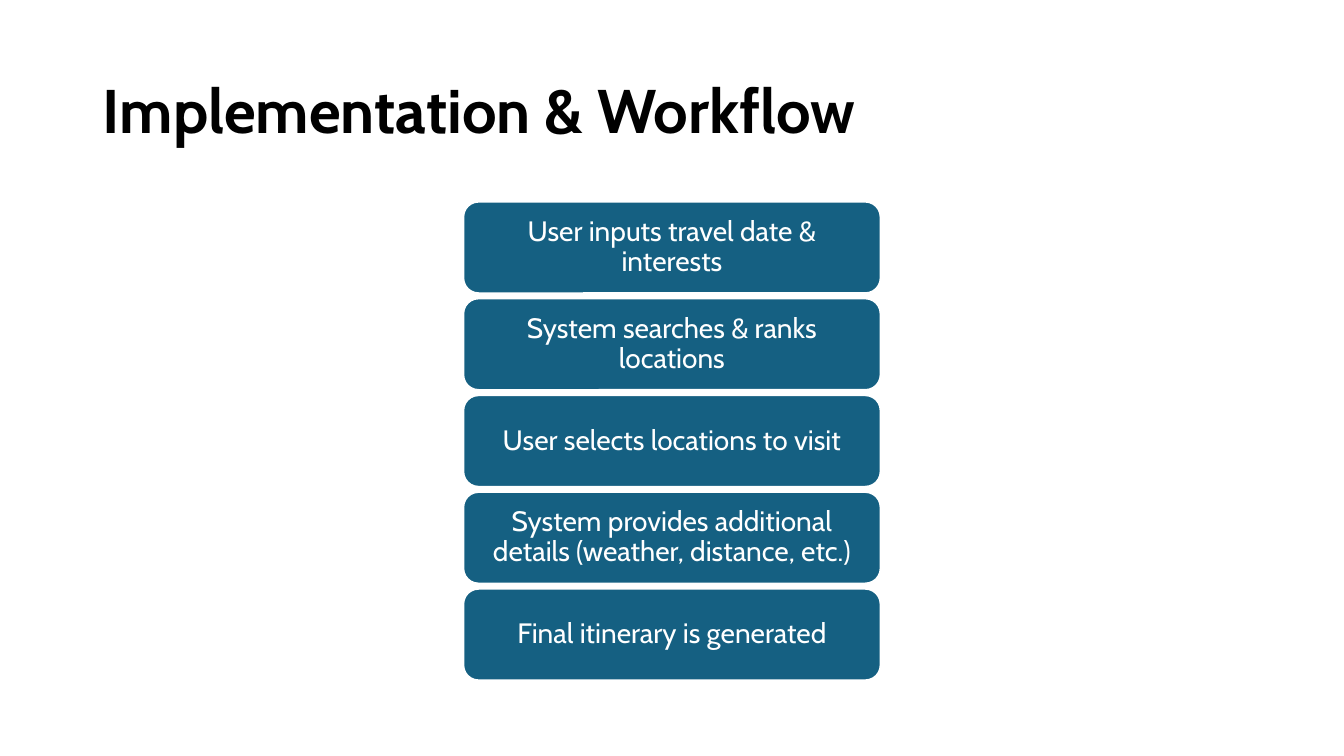
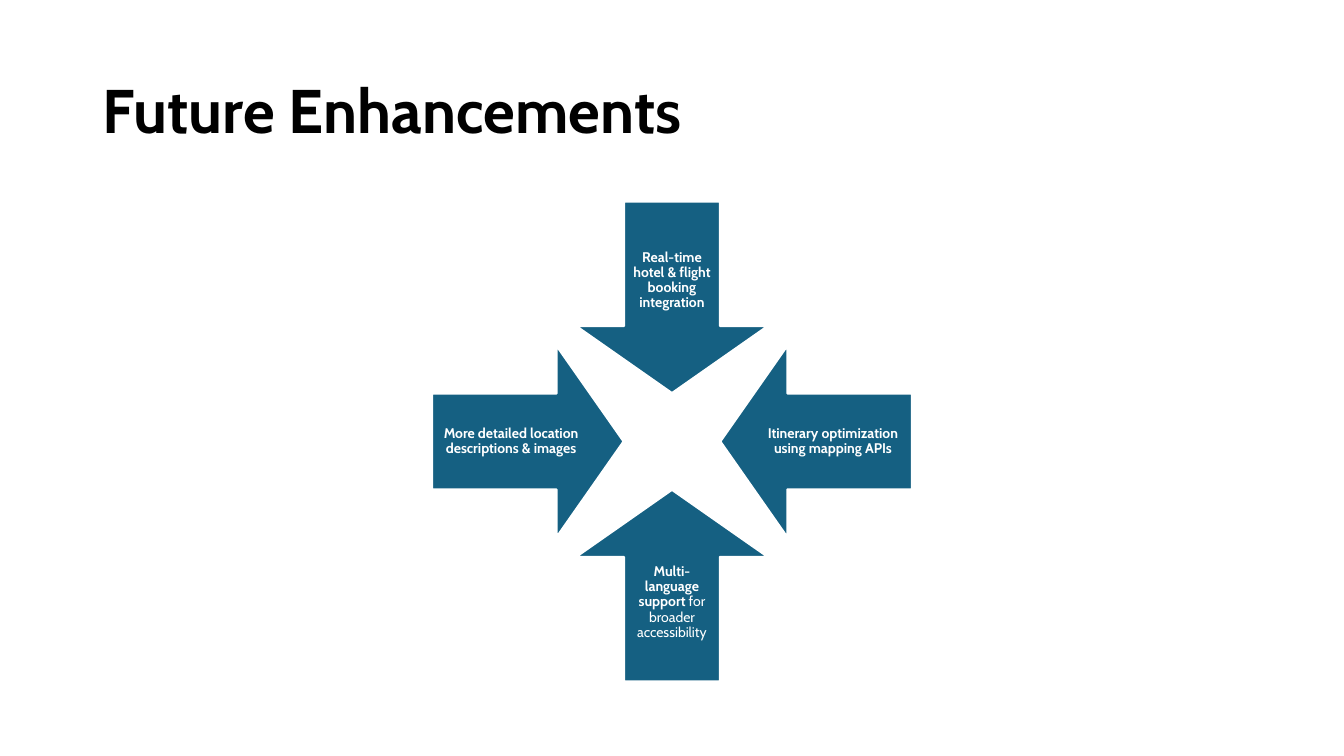
from dataclasses import dataclass
from typing import Any

from pptx import Presentation
from pptx import util as u
from pptx.dml.color import RGBColor
from pptx.enum import shapes, text

HUES = {"paper": "FFFFFF", "ink": "000000", "teal": "156082"}
FACE = "Cabin"
WIDE, HIGH = 13.33, 7.5
MID = WIDE / 2
TOP = 2.0
KIND = shapes.MSO_SHAPE
ALIGN = text.PP_ALIGN
MIDDLE = text.MSO_ANCHOR.MIDDLE


@dataclass(frozen=True)
class Run:
    words: str
    bold: bool = False


@dataclass(frozen=True)
class Block:
    kind: Any
    box: tuple[float, float, float, float]
    runs: tuple[Run, ...]
    size: int
    pad: tuple[float, float]
    knobs: tuple[float, ...] = ()


@dataclass(frozen=True)
class Arrow:
    kind: Any
    col: int
    row: int
    runs: tuple[Run, ...]


STEPS = (
    "User inputs travel date & interests",
    "System searches & ranks locations",
    "User selects locations to visit",
    "System provides additional details (weather, distance, etc.)",
    "Final itinerary is generated",
)
STEP_W, STEP_H, PITCH = 4.14, 0.91, 0.96

ARROWS = (
    Arrow(KIND.DOWN_ARROW, 1, 0,
          (Run("Real-time hotel & flight booking integration", True),)),
    Arrow(KIND.LEFT_ARROW, 2, 1,
          (Run("Itinerary optimization using mapping APIs", True),)),
    Arrow(KIND.UP_ARROW, 1, 2,
          (Run("Multi-language support", True),
           Run(" for broader accessibility"))),
    Arrow(KIND.RIGHT_ARROW, 0, 1,
          (Run("More detailed location descriptions & images", True),)),
)
SIDE, STRIDE = 1.9, 1.43


def rgb(name: str) -> RGBColor:
    return RGBColor.from_string(HUES[name])


def apply(item: Any, **form: Any) -> None:
    for key, value in form.items():
        setattr(item, key, value)


def write(frame: Any, runs: tuple[Run, ...], size: int, hue: str,
          align: Any, pad: tuple[float, float]) -> None:
    side, edge = map(u.Inches, pad)
    apply(frame, word_wrap=True, auto_size=text.MSO_AUTO_SIZE.NONE,
          vertical_anchor=MIDDLE, margin_left=side, margin_right=side,
          margin_top=edge, margin_bottom=edge)
    para = frame.paragraphs[0]
    apply(para, alignment=align, line_spacing=0.9)
    for part in runs:
        run = para.add_run()
        run.text = part.words
        apply(run.font, name=FACE, size=u.Pt(size), bold=part.bold)
        run.font.color.rgb = rgb(hue)


def start(deck: Any, words: str) -> Any:
    slide = deck.slides.add_slide(deck.slide_layouts[5])
    title = slide.shapes.title
    apply(title, left=u.Inches(0.92), top=u.Inches(0.4),
          width=u.Inches(11.5), height=u.Inches(1.45))
    write(title.text_frame, (Run(words, True),), 44, "ink", ALIGN.LEFT,
          (0.1, 0.05))
    return slide


def draw(slide: Any, block: Block) -> None:
    shape = slide.shapes.add_shape(block.kind, *map(u.Inches, block.box))
    shape.shadow.inherit = False
    shape.fill.solid()
    shape.fill.fore_color.rgb = rgb("teal")
    shape.line.color.rgb = rgb("paper")
    shape.line.width = u.Pt(1.5)
    for slot, value in enumerate(block.knobs):
        shape.adjustments[slot] = value
    write(shape.text_frame, block.runs, block.size, "paper", ALIGN.CENTER,
          block.pad)


def flow(deck: Any) -> None:
    slide = start(deck, "Implementation & Workflow")
    for row, words in enumerate(STEPS):
        box = (MID - STEP_W / 2, TOP + row * PITCH, STEP_W, STEP_H)
        draw(slide, Block(KIND.ROUNDED_RECTANGLE, box, (Run(words),), 20,
                          (0.08, 0.04)))


def future(deck: Any) -> None:
    slide = start(deck, "Future Enhancements")
    left = MID - SIDE / 2 - STRIDE
    for item in ARROWS:
        box = (left + item.col * STRIDE, TOP + item.row * STRIDE, SIDE, SIDE)
        draw(slide, Block(item.kind, box, item.runs, 10, (0.08, 0.08),
                          (0.5, 0.35)))


def main() -> None:
    deck = Presentation()
    apply(deck, slide_width=u.Inches(WIDE), slide_height=u.Inches(HIGH))
    flow(deck)
    future(deck)
    deck.save("out.pptx")


if __name__ == "__main__":
    main()
